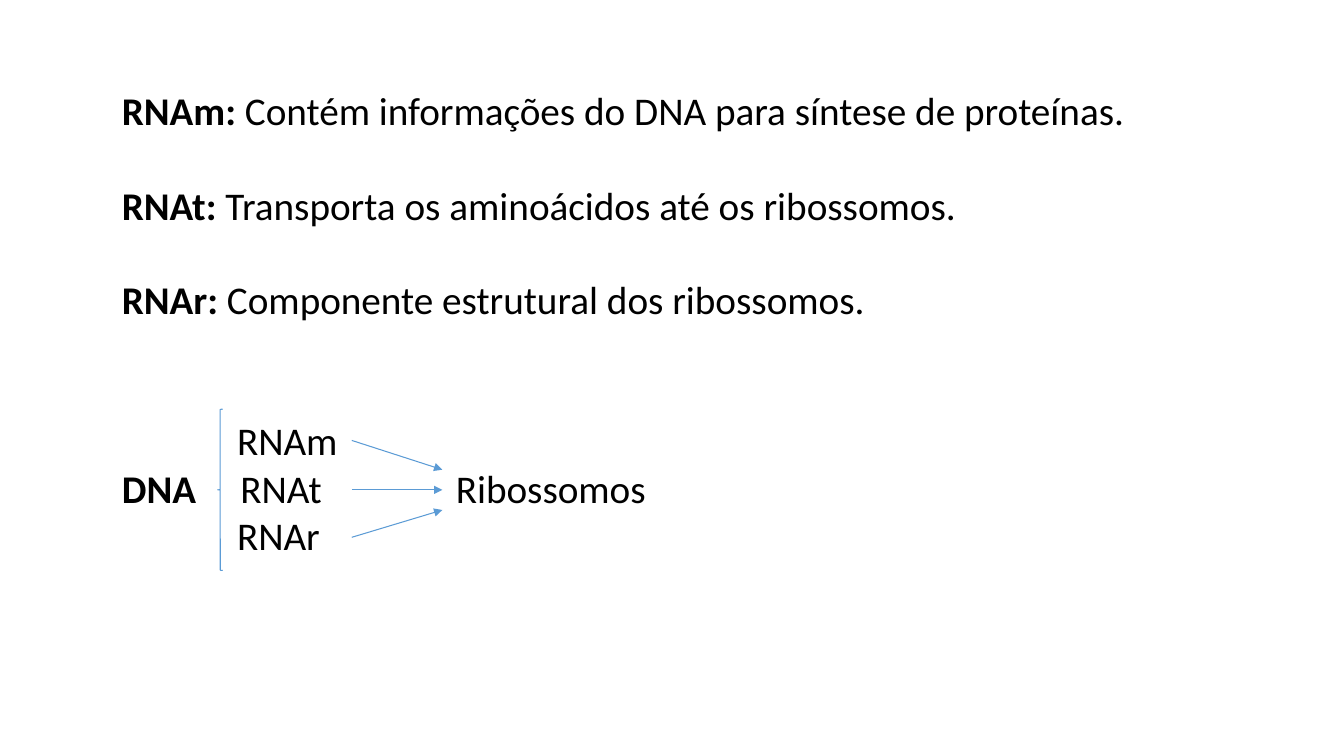
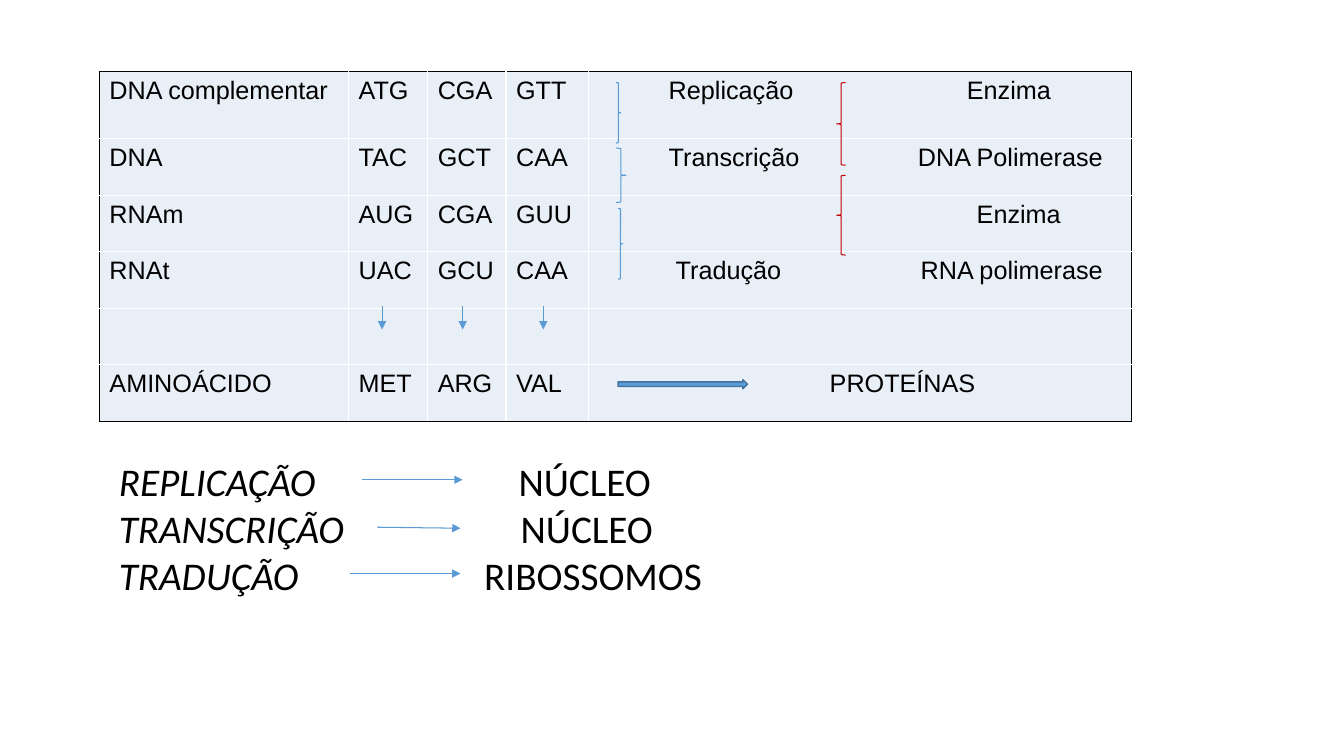
"""Build two slides about RNA types and protein synthesis."""
from dataclasses import dataclass

from lxml import etree
from pptx import Presentation
from pptx.dml.color import RGBColor
from pptx.enum.shapes import MSO_CONNECTOR, MSO_SHAPE
from pptx.oxml.ns import qn
from pptx.slide import Slide
from pptx.table import _Cell
from pptx.text.text import _Paragraph
from pptx.util import Pt

STRAIGHT = MSO_CONNECTOR.STRAIGHT
LEFT_BRACE = MSO_SHAPE.LEFT_BRACE
RIGHT_BRACE = MSO_SHAPE.RIGHT_BRACE
RIGHT_ARROW = MSO_SHAPE.RIGHT_ARROW

BLACK = RGBColor(0x00, 0x00, 0x00)
WHITE = RGBColor(0xFF, 0xFF, 0xFF)
BLUE = RGBColor(0x5B, 0x9B, 0xD5)
DARK_BLUE = RGBColor(0x42, 0x71, 0x9B)
RED = RGBColor(0xC0, 0x00, 0x00)
PALE_BLUE = RGBColor(0xE9, 0xEF, 0xF7)

BODY_FONT, BODY_SIZE = "Calibri", 28
TABLE_FONT, TABLE_SIZE = "Arial", 18
LINE_PITCH = 33.75
THIN = 0.75
BLANK_LAYOUT = 6


@dataclass(frozen=True)
class Span:
    text: str
    bold: bool = False
    italic: bool = False


@dataclass(frozen=True)
class Line:
    spans: tuple[Span, ...]
    stops: tuple[float, ...] = ()
    before: float = 0


@dataclass(frozen=True)
class Arrow:
    x1: float
    y1: float
    x2: float
    y2: float


@dataclass(frozen=True)
class Brace:
    kind: MSO_SHAPE
    left: float
    top: float
    width: float
    height: float
    color: RGBColor = BLUE


DEFINITIONS = (
    ("RNAm:", " Contém informações do DNA para síntese de proteínas."),
    ("RNAt:", " Transporta os aminoácidos até os ribossomos."),
    ("RNAr:", " Componente estrutural dos ribossomos."),
)
DIAGRAM_LINES = (
    Line((Span("\tRNAm"),), (82.3,), 2 * LINE_PITCH),
    Line((Span("DNA", bold=True), Span("\tRNAt\tRibossomos")), (84.7, 238.5)),
    Line((Span("\tRNAr"),), (82.3,)),
)
DIAGRAM_BRACE = Brace(LEFT_BRACE, 155.5, 292.3, 3.6, 115.2)
DIAGRAM_ARROWS = (
    Arrow(251.3, 314.6, 316, 335.5),
    Arrow(251.3, 349.9, 316, 349.9),
    Arrow(251.3, 383.8, 316, 364.3),
)

TABLE_LEFT, TABLE_TOP = 71, 51
COLUMN_WIDTHS = (178, 56.5, 56, 59, 388)
ROW_HEIGHTS = (48,) + (40.4,) * 5
TABLE_ROWS = (
    ("DNA complementar", "ATG", "CGA", "GTT", "\tReplicação\tEnzima"),
    ("DNA", "TAC", "GCT", "CAA", "\tTranscrição\tDNA Polimerase"),
    ("RNAm", "AUG", "CGA", "GUU", "\tEnzima"),
    ("RNAt", "UAC", "GCU", "CAA", "\tTradução\tRNA polimerase"),
    ("",) * 5,
    ("AMINOÁCIDO", "MET", "ARG", "VAL", "\tPROTEÍNAS"),
)
PROCESS_STOPS = ((50, 263), (50, 228), (270,), (55, 230), (), (165,))
CODON_ARROWS = tuple(
    Arrow(272.9 + 57.6 * index, 218.9, 272.9 + 57.6 * index, 235.4)
    for index in range(3)
)
PROCESS_BRACES = (
    Brace(LEFT_BRACE, 597.6, 59, 6.5, 59, RED),
    Brace(LEFT_BRACE, 597.6, 125.3, 6.5, 56.9, RED),
    Brace(RIGHT_BRACE, 439.9, 59, 3.6, 43.2),
    Brace(RIGHT_BRACE, 439.9, 105.8, 7.2, 38.9),
    Brace(RIGHT_BRACE, 441.4, 149, 3.6, 50.4),
)
PLACES = (
    ("REPLICAÇÃO", "NÚCLEO", 285.5),
    ("TRANSCRIÇÃO", "NÚCLEO", 287),
    ("TRADUÇÃO", "RIBOSSOMOS", 261),
)
PLACE_ARROWS = (
    Arrow(258.5, 342.7, 330.5, 342.7),
    Arrow(269.3, 376.6, 329, 377.3),
    Arrow(249.8, 409.7, 329, 409.7),
)


def write_line(para: _Paragraph, line: Line, font: str, size: float) -> None:
    """Fill a paragraph with the spans and tab stops of a line."""
    if line.stops:
        tabs = etree.SubElement(para._p.get_or_add_pPr(), qn("a:tabLst"))
        for stop in line.stops:
            etree.SubElement(tabs, qn("a:tab"), pos=str(int(Pt(stop))), algn="l")
    if line.before:
        para.space_before = Pt(line.before)
    for span in line.spans:
        run = para.add_run()
        run.text = span.text
        run.font.name = font
        run.font.size = Pt(size)
        run.font.bold = span.bold
        run.font.italic = span.italic
        run.font.color.rgb = BLACK


def add_text(slide: Slide, left: float, top: float, width: float,
             height: float, lines: tuple[Line, ...]) -> None:
    """Add a wrapped text box holding one paragraph per line."""
    frame = slide.shapes.add_textbox(
        Pt(left), Pt(top), Pt(width), Pt(height)).text_frame
    frame.word_wrap = True
    for index, line in enumerate(lines):
        para = frame.add_paragraph() if index else frame.paragraphs[0]
        write_line(para, line, BODY_FONT, BODY_SIZE)


def add_arrows(slide: Slide, arrows: tuple[Arrow, ...]) -> None:
    """Add thin blue lines that end in a triangle."""
    for arrow in arrows:
        connector = slide.shapes.add_connector(
            STRAIGHT, Pt(arrow.x1), Pt(arrow.y1), Pt(arrow.x2), Pt(arrow.y2))
        connector.line.color.rgb = BLUE
        connector.line.width = Pt(THIN)
        etree.SubElement(connector.line._get_or_add_ln(),
                         qn("a:tailEnd"), type="triangle")
        etree.SubElement(connector._element.spPr, qn("a:effectLst"))


def add_brace(slide: Slide, brace: Brace) -> None:
    """Add an unfilled brace."""
    shape = slide.shapes.add_shape(brace.kind, Pt(brace.left), Pt(brace.top),
                                   Pt(brace.width), Pt(brace.height))
    shape.shadow.inherit = False
    shape.fill.background()
    shape.line.color.rgb = brace.color
    shape.line.width = Pt(THIN)


def set_borders(cell: _Cell, colors: dict[str, RGBColor]) -> None:
    """Draw the four one-point borders of a cell."""
    properties = cell._tc.get_or_add_tcPr()
    for side, color in colors.items():
        border = etree.SubElement(properties, qn(f"a:ln{side}"), w=str(int(Pt(1))))
        fill = etree.SubElement(border, qn("a:solidFill"))
        etree.SubElement(fill, qn("a:srgbClr"), val=str(color))


def add_codon_table(slide: Slide) -> None:
    """Add the codon table with a black frame and white inner borders."""
    last_row, last_column = len(ROW_HEIGHTS) - 1, len(COLUMN_WIDTHS) - 1
    table = slide.shapes.add_table(
        len(ROW_HEIGHTS), len(COLUMN_WIDTHS), Pt(TABLE_LEFT), Pt(TABLE_TOP),
        Pt(sum(COLUMN_WIDTHS)), Pt(sum(ROW_HEIGHTS))).table
    table.first_row = False
    table.horz_banding = False
    for column, width in zip(table.columns, COLUMN_WIDTHS):
        column.width = Pt(width)
    for row, height in zip(table.rows, ROW_HEIGHTS):
        row.height = Pt(height)
    for r, texts in enumerate(TABLE_ROWS):
        for c, text in enumerate(texts):
            cell = table.cell(r, c)
            set_borders(cell, {
                "L": WHITE if c else BLACK,
                "R": BLACK if c == last_column else WHITE,
                "T": WHITE if r else BLACK,
                "B": BLACK if r == last_row else WHITE,
            })
            cell.fill.solid()
            cell.fill.fore_color.rgb = PALE_BLUE
            if text:
                stops = PROCESS_STOPS[r] if c == last_column else ()
                write_line(cell.text_frame.paragraphs[0],
                           Line((Span(text),), stops), TABLE_FONT, TABLE_SIZE)


def add_protein_arrow(slide: Slide) -> None:
    """Add the block arrow that points to the proteins."""
    shape = slide.shapes.add_shape(
        RIGHT_ARROW, Pt(441.4), Pt(271.2), Pt(92.5), Pt(6.5))
    shape.shadow.inherit = False
    shape.fill.solid()
    shape.fill.fore_color.rgb = BLUE
    shape.line.color.rgb = DARK_BLUE
    shape.line.width = Pt(1)


def build_rna_slide(slide: Slide) -> None:
    """Define the RNA types and show how they reach the ribosomes."""
    definitions = tuple(
        Line((Span(name, bold=True), Span(meaning)),
             before=LINE_PITCH if index else 0)
        for index, (name, meaning) in enumerate(DEFINITIONS))
    add_text(slide, 80, 58.3, 842.4, 390, definitions + DIAGRAM_LINES)
    add_brace(slide, DIAGRAM_BRACE)
    add_arrows(slide, DIAGRAM_ARROWS)


def build_synthesis_slide(slide: Slide) -> None:
    """Show the codon table and where each process happens."""
    add_codon_table(slide)
    add_arrows(slide, CODON_ARROWS)
    for brace in PROCESS_BRACES:
        add_brace(slide, brace)
    places = tuple(
        Line((Span(process, italic=True), Span(f"\t{place}")), (stop,))
        for process, place, stop in PLACES)
    add_text(slide, 77.8, 323.3, 443.5, 109.4, places)
    add_arrows(slide, PLACE_ARROWS)
    add_protein_arrow(slide)


def main() -> None:
    """Build and save the deck."""
    deck = Presentation()
    deck.slide_width, deck.slide_height = Pt(960), Pt(540)
    for build in (build_rna_slide, build_synthesis_slide):
        build(deck.slides.add_slide(deck.slide_layouts[BLANK_LAYOUT]))
    deck.save("out.pptx")


if __name__ == "__main__":
    main()
